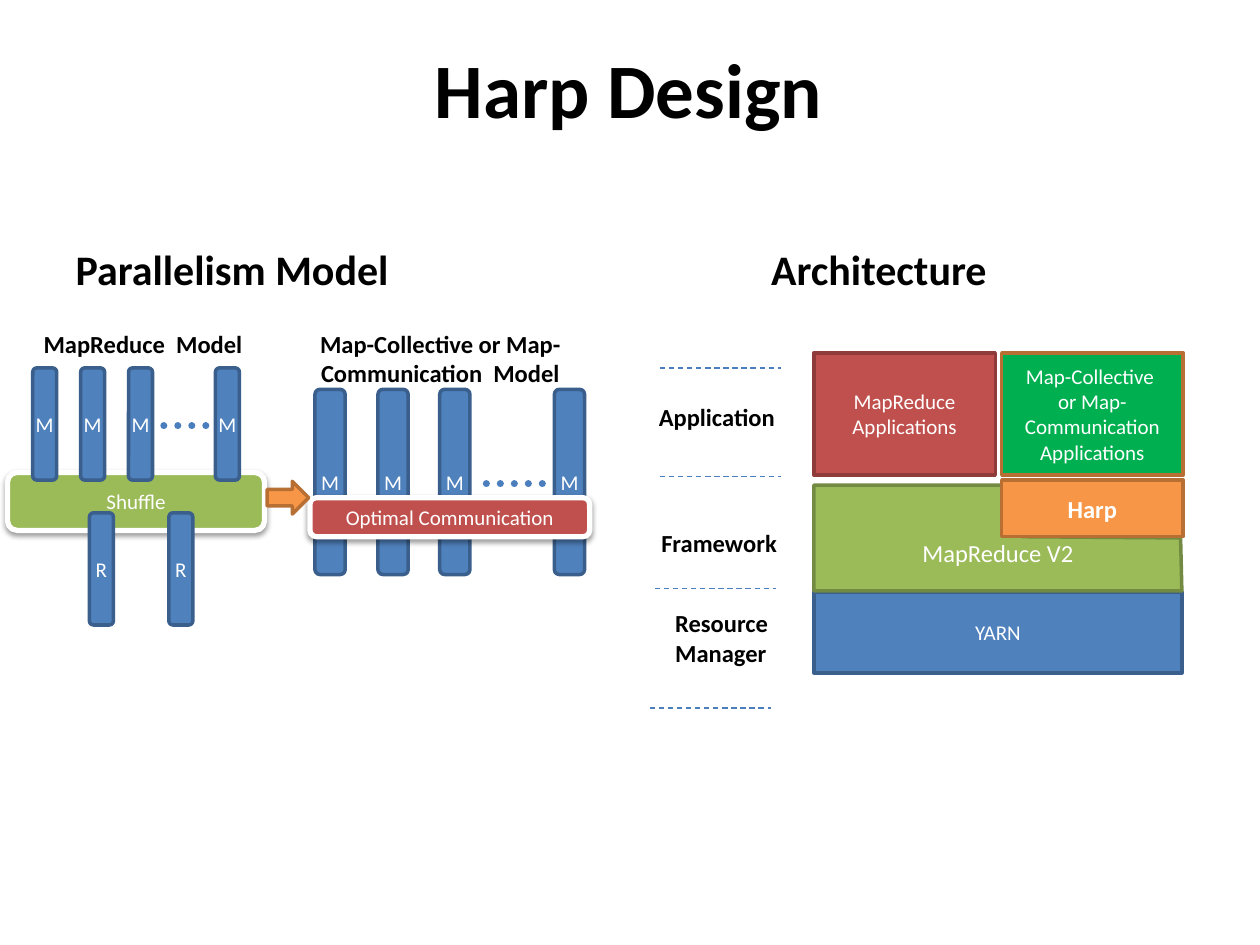
from dataclasses import dataclass

from lxml.etree import SubElement
from pptx import Presentation
from pptx.dml.color import RGBColor
from pptx.enum.dml import MSO_LINE
from pptx.enum.shapes import MSO_CONNECTOR, MSO_SHAPE
from pptx.enum.text import MSO_ANCHOR, PP_ALIGN
from pptx.oxml.ns import qn
from pptx.util import Inches, Pt


@dataclass(frozen=True)
class Theme:
    """Colours, type sizes and line widths of the slide."""
    font: str = "Calibri"
    black: str = "000000"
    white: str = "FFFFFF"
    blue: tuple = ("4F81BD", "3A5F8C")
    green: tuple = ("9BBB59", "738A42")
    red: tuple = ("C0504D", "8E3B39")
    orange: tuple = ("F79646", "B76F34")
    bright_green: tuple = ("00B050", "B76F34")
    connector: str = "4B7EBC"
    title: int = 44
    heading: int = 24
    label: int = 14
    small: int = 12
    outline: int = 2
    band_outline: int = 3
    dots: int = 4
    dashes: float = 0.75


THEME = Theme()


def set_values(target, values):
    """Set each named attribute of the target."""
    for name, value in values.items():
        setattr(target, name, value)


def write(shape, text, size, color, bold=False, align=PP_ALIGN.CENTER,
          anchor=MSO_ANCHOR.MIDDLE):
    """Put one formatted paragraph into a shape."""
    frame = shape.text_frame
    set_values(frame, {"word_wrap": True, "vertical_anchor": anchor})
    paragraph = frame.paragraphs[0]
    paragraph.text = text
    set_values(paragraph, {"alignment": align, "space_before": Pt(0)})
    for run in paragraph.runs:
        set_values(run.font, {"name": THEME.font, "size": Pt(size), "bold": bold})
        run.font.color.rgb = RGBColor.from_string(color)


def paint(shape, colors, width=THEME.outline):
    """Give a shape a flat fill and outline without a shadow."""
    shape.shadow.inherit = False
    shape.fill.solid()
    shape.fill.fore_color.rgb = RGBColor.from_string(colors[0])
    shape.line.color.rgb = RGBColor.from_string(colors[1])
    shape.line.width = Pt(width)


def add_box(shapes, kind, area, colors, text="", size=THEME.small, bold=False,
            width=THEME.outline):
    """Add a filled preset shape with white centred text."""
    box = shapes.add_shape(kind, *map(Inches, area))
    paint(box, colors, width)
    if text:
        write(box, text, size, THEME.white, bold)
    return box


def add_bars(shapes, lefts, top, width, height, letter):
    """Add a row of equal task bars, each with its letter inside."""
    for left in lefts:
        bar = add_box(shapes, MSO_SHAPE.ROUNDED_RECTANGLE,
                      (left, top, width, height), THEME.blue, letter)
        set_values(bar.text_frame, {"margin_left": 0, "margin_right": 0})


def add_band(shapes, area, fill, text):
    """Add a white-edged band with a soft shadow below it."""
    band = add_box(shapes, MSO_SHAPE.ROUNDED_RECTANGLE, area, (fill, THEME.white),
                   text, width=THEME.band_outline)
    effects = band._element.spPr.find(qn("a:effectLst"))
    shadow = SubElement(effects, qn("a:outerShdw"), blurRad=str(Pt(3.1)),
                        dist=str(Pt(1.6)), dir="5400000", rotWithShape="0")
    color = SubElement(shadow, qn("a:srgbClr"), val=THEME.black)
    SubElement(color, qn("a:alpha"), val="38000")


def add_label(shapes, area, text, align=PP_ALIGN.LEFT):
    """Add a bold black caption."""
    label = shapes.add_textbox(*map(Inches, area))
    write(label, text, THEME.label, THEME.black, True, align, MSO_ANCHOR.TOP)


def add_line(shapes, left, right, height, width, dash, cap="flat"):
    """Add a horizontal broken line."""
    line = shapes.add_connector(MSO_CONNECTOR.STRAIGHT, *map(
        Inches, (left, height, right, height)))
    line.line.color.rgb = RGBColor.from_string(THEME.connector)
    set_values(line.line, {"width": Pt(width), "dash_style": dash})
    properties = line._element.spPr
    properties.find(qn("a:ln")).set("cap", cap)
    SubElement(properties, qn("a:effectLst"))


def add_separator(shapes, left, height):
    """Add a dashed line between two architecture layers."""
    add_line(shapes, left, left + 0.96, height, THEME.dashes, MSO_LINE.DASH)


def add_dots(shapes, left, right, height):
    """Add a dotted line that stands for omitted bars."""
    add_line(shapes, left, right, height, THEME.dots, MSO_LINE.ROUND_DOT, "rnd")


def add_framework(shapes):
    """Add the framework layer, notched where Harp sits."""
    points = [(8.04, 3.85), (8.11, 4.26), (9.37, 4.27), (9.38, 4.69), (6.46, 4.69)]
    builder = shapes.build_freeform(Inches(6.46), Inches(3.85))
    builder.add_line_segments([tuple(map(Inches, point)) for point in points])
    framework = builder.convert_to_shape()
    paint(framework, THEME.green)
    write(framework, "MapReduce V2", THEME.label, THEME.white)
    framework.text_frame.margin_top = Inches(0.29)


def fill_placeholder(placeholder, area, text, size, align, anchor):
    """Move a placeholder and write its text."""
    names = ("left", "top", "width", "height")
    set_values(placeholder, dict(zip(names, map(Inches, area))))
    write(placeholder, text, size, THEME.black, True, align, anchor)


def add_headings(slide):
    """Fill the title and column headings and drop the empty placeholders."""
    title, left, left_content, right, right_content = slide.placeholders
    fill_placeholder(title, (0.49, 0.07, 9, 1.25), "Harp Design", THEME.title,
                     PP_ALIGN.CENTER, MSO_ANCHOR.MIDDLE)
    for heading, area, text in (
            (left, (0.5, 1.68, 4.42, 0.7), "Parallelism Model"),
            (right, (6.02, 1.68, 3.48, 0.7), "Architecture")):
        fill_placeholder(heading, area, text, THEME.heading,
                         PP_ALIGN.LEFT, MSO_ANCHOR.BOTTOM)
    for content in (left_content, right_content):
        content._element.getparent().remove(content._element)


def add_parallelism(shapes):
    """Draw the two parallelism models side by side."""
    add_band(shapes, (0.06, 3.75, 2.04, 0.46), THEME.green[0], "Shuffle")
    add_bars(shapes, (2.5, 3, 3.49, 4.4), 3.09, 0.24, 1.47, "M")
    add_dots(shapes, 3.86, 4.31, 3.84)
    add_band(shapes, (2.46, 3.95, 2.22, 0.31), THEME.red[0], "Optimal Communication")
    add_bars(shapes, (0.26, 0.64, 1.02, 1.71), 2.92, 0.19, 0.89, "M")
    add_dots(shapes, 1.3, 1.65, 3.38)
    add_bars(shapes, (0.71, 1.34), 4.07, 0.19, 0.89, "R")
    add_box(shapes, MSO_SHAPE.RIGHT_ARROW, (2.12, 3.82, 0.33, 0.26), THEME.orange)
    add_label(shapes, (2.42, 2.56, 2.15, 0.57),
              "Map-Collective or Map-Communication  Model", PP_ALIGN.CENTER)
    add_label(shapes, (0.13, 2.56, 2.01, 0.34), "MapReduce  Model", PP_ALIGN.CENTER)


def add_architecture(shapes):
    """Draw the layered architecture with its layer names."""
    rectangle = MSO_SHAPE.RECTANGLE
    add_box(shapes, rectangle, (6.46, 4.7, 2.92, 0.64), THEME.blue, "YARN")
    add_framework(shapes)
    add_box(shapes, rectangle, (7.95, 3.81, 1.44, 0.45), THEME.orange, "Harp",
            THEME.label, True)
    add_box(shapes, rectangle, (6.46, 2.8, 1.44, 0.97), THEME.red,
            "MapReduce Applications")
    add_box(shapes, rectangle, (7.95, 2.8, 1.44, 0.97), THEME.bright_green,
            "Map-Collective \vor Map-Communication Applications")
    add_label(shapes, (5.13, 3.14, 1.19, 0.37), "Application")
    add_label(shapes, (5.15, 4.14, 1.2, 0.37), "Framework")
    add_label(shapes, (5.26, 4.78, 1.11, 0.63), "Resource Manager")
    for left, height in ((5.24, 3.78), (5.24, 2.92), (5.2, 4.67)):
        add_separator(shapes, left, height)


def main():
    """Build and save the slide."""
    presentation = Presentation()
    set_values(presentation, {"slide_width": Inches(10), "slide_height": Inches(7.5)})
    slide = presentation.slides.add_slide(presentation.slide_layouts[4])
    add_headings(slide)
    for add_diagram in (add_parallelism, add_architecture):
        add_diagram(slide.shapes.add_group_shape().shapes)
    add_separator(slide.shapes, 5.16, 5.62)
    presentation.save("out.pptx")


if __name__ == "__main__":
    main()
